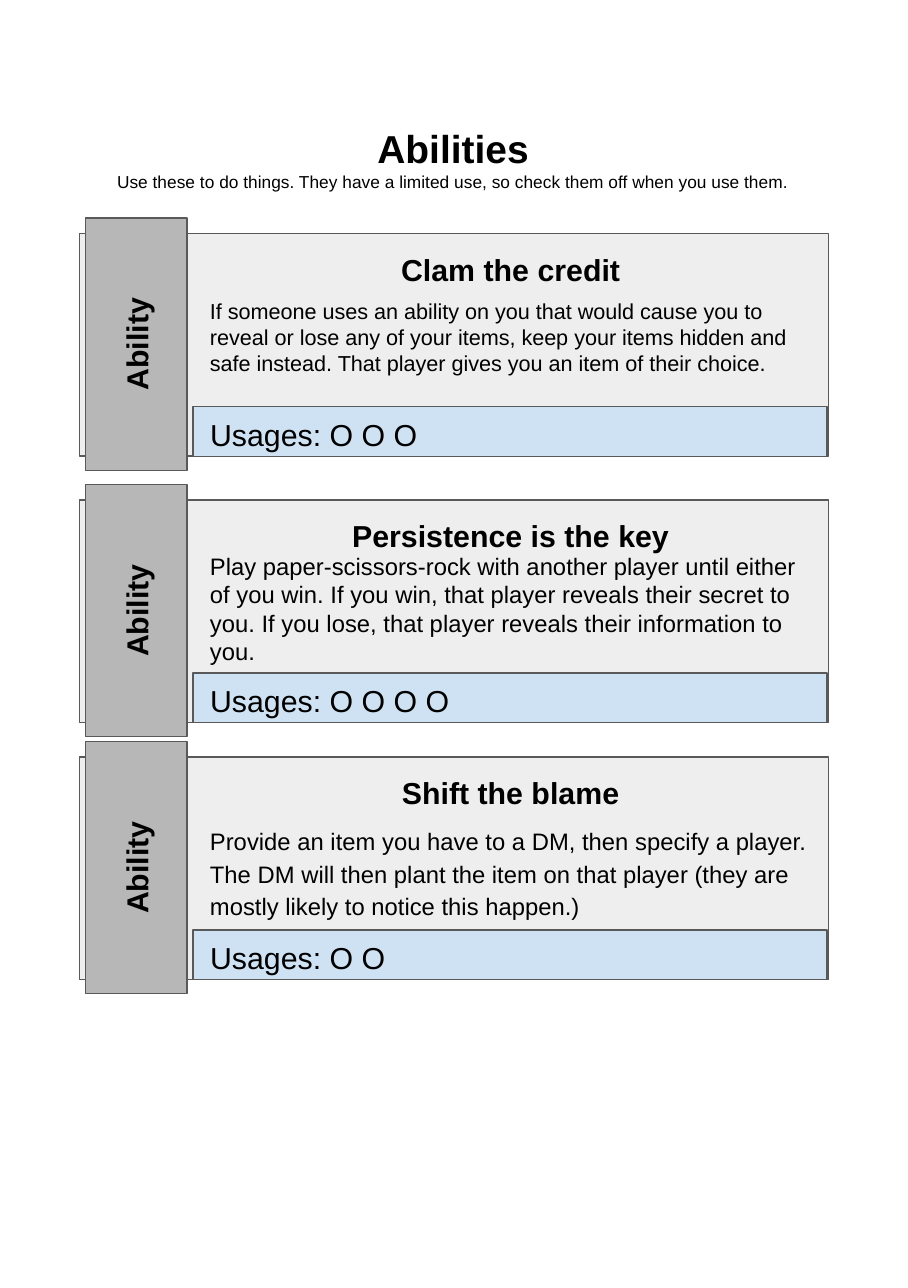
from pptx import Presentation
from pptx.dml.color import RGBColor
from pptx.enum.shapes import MSO_SHAPE
from pptx.enum.text import MSO_ANCHOR, PP_ALIGN
from pptx.util import Inches, Pt

CARD_SHAPE = MSO_SHAPE.ROUNDED_RECTANGLE
TAB_SHAPE = MSO_SHAPE.ROUND_2_SAME_RECTANGLE
BAR_SHAPE = MSO_SHAPE.ROUND_1_RECTANGLE
LEFT, CENTER = PP_ALIGN.LEFT, PP_ALIGN.CENTER
TOP, MIDDLE = MSO_ANCHOR.TOP, MSO_ANCHOR.MIDDLE

BLACK = RGBColor(0x00, 0x00, 0x00)
BORDER = RGBColor(0x59, 0x59, 0x59)
CARD_FILL = RGBColor(0xEE, 0xEE, 0xEE)
TAB_FILL = RGBColor(0xB7, 0xB7, 0xB7)
BAR_FILL = RGBColor(0xCF, 0xE2, 0xF3)

FONT = "Arial"
TEXT_LEFT = 1.25

# Card top, name, description, description offset, height, size, line spacing, uses
ABILITIES = [
    (1.50, "Clam the credit",
     "If someone uses an ability on you that would cause you to reveal or lose "
     "any of your items, keep your items hidden and safe instead. That player "
     "gives you an item of their choice.", 0.31, 0.46, 10, 1.0, 3),
    (3.21, "Persistence is the key",
     "Play paper-scissors-rock with another player until either of you win. If "
     "you win, that player reveals their secret to you. If you lose, that player "
     "reveals their information to you.", 0.23, 0.46, 11, 1.0, 4),
    (4.86, "Shift the blame",
     "Provide an item you have to a DM, then specify a player. The DM will then "
     "plant the item on that player (they are mostly likely to notice this "
     "happen.)", 0.32, 0.75, 11, 1.15, 2),
]


def style_paragraph(paragraph, text, size, bold=False, align=LEFT, spacing=1.0):
    paragraph.text = text
    paragraph.alignment = align
    paragraph.line_spacing = spacing
    paragraph.font.name = FONT
    paragraph.font.size = Pt(size)
    paragraph.font.bold = bold
    paragraph.font.color.rgb = BLACK


def set_frame(frame, anchor=TOP):
    frame.word_wrap = True
    frame.vertical_anchor = anchor
    frame.margin_left = frame.margin_right = Inches(0.1)
    frame.margin_top = frame.margin_bottom = Inches(0.1)


def add_text(shapes, left, top, width, height):
    box = shapes.add_textbox(Inches(left), Inches(top), Inches(width), Inches(height))
    set_frame(box.text_frame)
    return box.text_frame


def add_panel(shapes, kind, left, top, width, height, fill, rotation=0):
    """Add a square-cornered panel; the box is the area it covers once turned."""
    if rotation in (90, 270):
        left += (width - height) / 2
        top += (height - width) / 2
        width, height = height, width
    panel = shapes.add_shape(kind, Inches(left), Inches(top), Inches(width), Inches(height))
    for index in range(len(panel.adjustments)):
        panel.adjustments[index] = 0
    panel.rotation = rotation
    panel.shadow.inherit = False
    panel.fill.solid()
    panel.fill.fore_color.rgb = fill
    panel.line.color.rgb = BORDER
    panel.line.width = Pt(0.75)
    return panel


def add_heading(slide):
    frame = add_text(slide.shapes, 0.23, 0.7, 5.36, 0.91)
    style_paragraph(frame.paragraphs[0], "Abilities", 18, True, CENTER)
    style_paragraph(frame.add_paragraph(),
                    "Use these to do things. They have a limited use, "
                    "so check them off when you use them.", 8, align=CENTER)


def add_ability(slide, top, name, description, offset, height, size, spacing, uses):
    shapes = slide.shapes.add_group_shape().shapes

    # Card and its side tab
    add_panel(shapes, CARD_SHAPE, 0.51, top, 4.81, 1.43, CARD_FILL)
    tab = add_panel(shapes, TAB_SHAPE, 0.55, top - 0.1, 0.65, 1.62, TAB_FILL, 270)
    set_frame(tab.text_frame, MIDDLE)
    style_paragraph(tab.text_frame.paragraphs[0], "Ability", 14, True, CENTER)

    # Name and description
    frame = add_text(shapes, TEXT_LEFT, top + 0.01, 4.06, 0.42)
    style_paragraph(frame.paragraphs[0], name, 14, True, CENTER)
    frame = add_text(shapes, TEXT_LEFT, top + offset, 4.06, height)
    style_paragraph(frame.paragraphs[0], description, size, spacing=spacing)

    # Usage bar
    add_panel(shapes, BAR_SHAPE, 1.24, top + 1.11, 4.07, 0.32, BAR_FILL, 90)
    frame = add_text(shapes, TEXT_LEFT, top + 1.07, 3.98, 0.42)
    style_paragraph(frame.paragraphs[0], "Usages:" + " O" * uses, 14)


def main():
    presentation = Presentation()
    presentation.slide_width = Inches(5.83)
    presentation.slide_height = Inches(8.27)
    slide = presentation.slides.add_slide(presentation.slide_layouts[6])
    add_heading(slide)
    for ability in ABILITIES:
        add_ability(slide, *ability)
    presentation.save("out.pptx")


if __name__ == "__main__":
    main()
